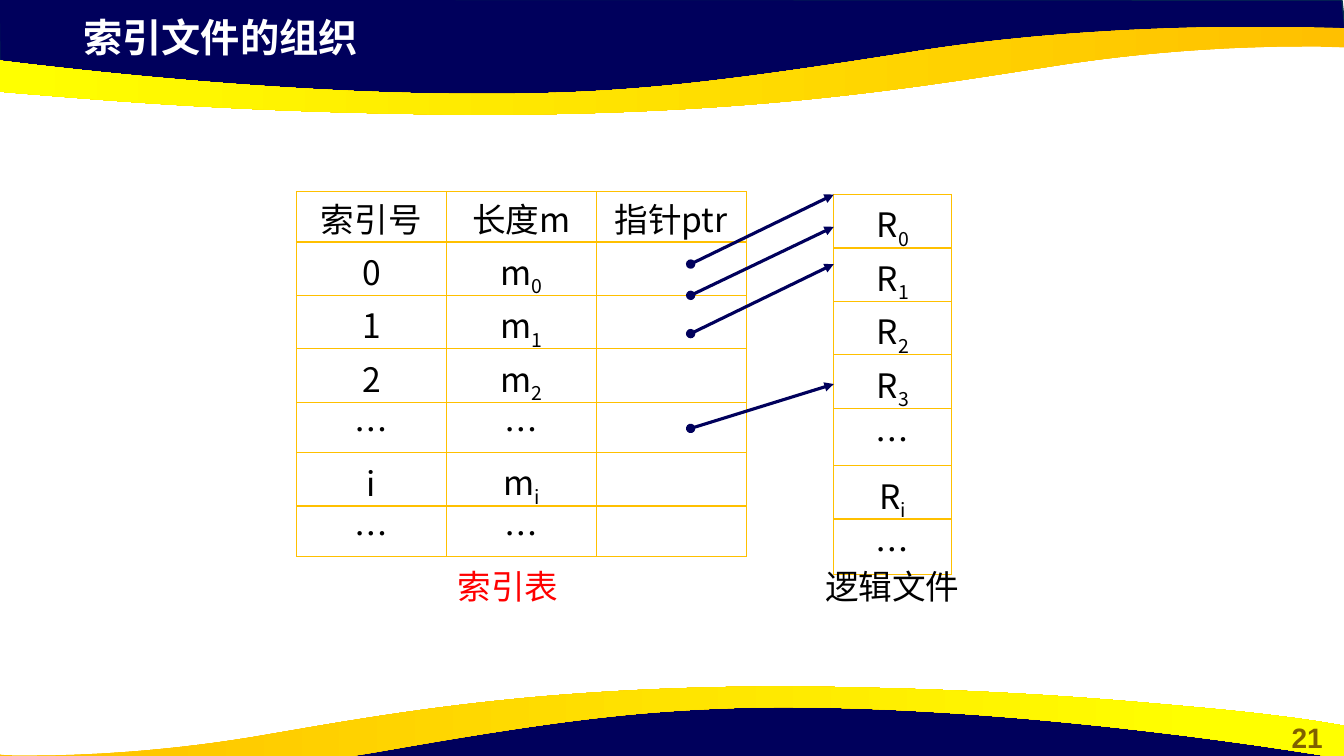
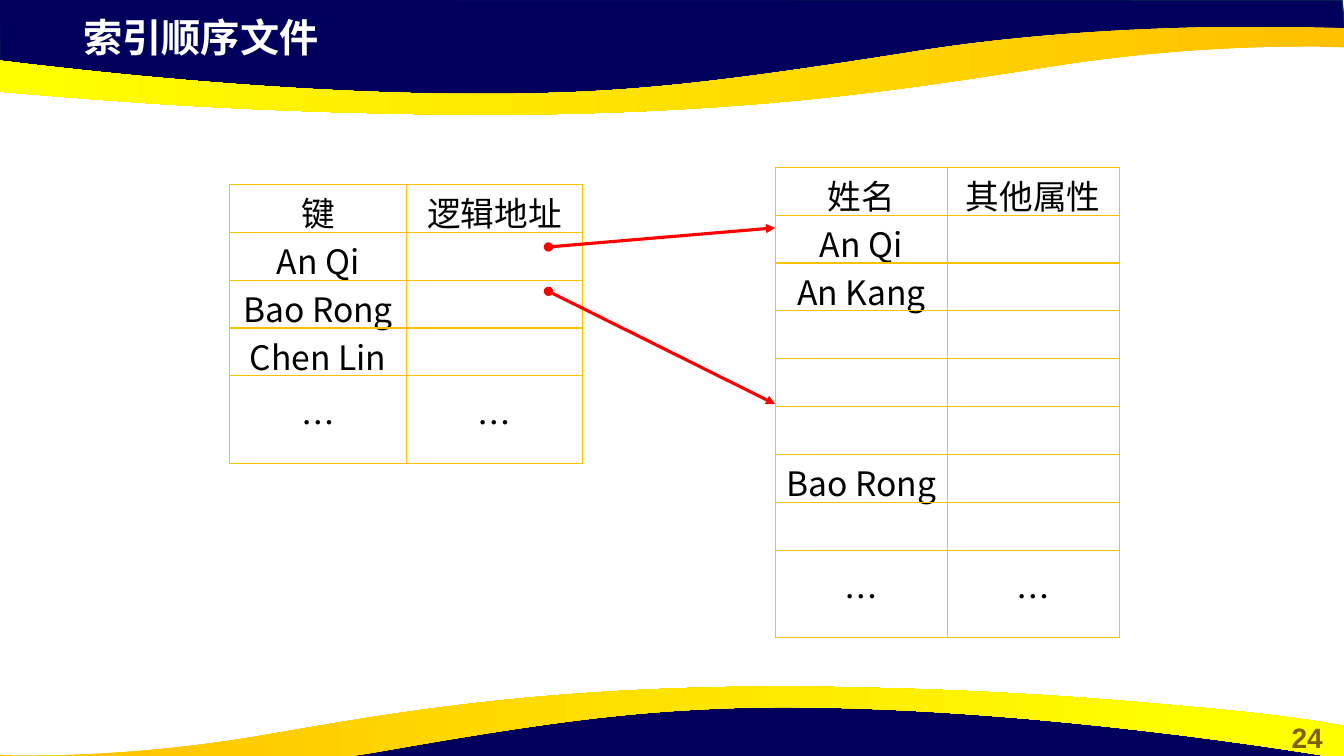
from dataclasses import dataclass

from lxml.etree import SubElement
from pptx import Presentation
from pptx.dml.color import RGBColor
from pptx.enum.shapes import MSO_CONNECTOR
from pptx.enum.text import MSO_ANCHOR, PP_ALIGN
from pptx.oxml.ns import qn
from pptx.util import Inches, Pt


@dataclass(frozen=True)
class Theme:
    navy: RGBColor = RGBColor(0x00, 0x00, 0x5C)
    navy_edge: RGBColor = RGBColor(0x05, 0x30, 0x4F)
    gold: RGBColor = RGBColor(0xFF, 0xC0, 0x00)
    yellow: RGBColor = RGBColor(0xFF, 0xFF, 0x00)
    brown: RGBColor = RGBColor(0x80, 0x60, 0x00)
    red: RGBColor = RGBColor(0xFF, 0x00, 0x00)
    black: RGBColor = RGBColor(0x00, 0x00, 0x00)
    white: RGBColor = RGBColor(0xFF, 0xFF, 0xFF)
    latin_font: str = "Arial"
    body_font: str = "Noto Sans CJK SC"
    title_size: int = 28
    body_size: int = 24
    number_size: int = 20
    cell_line: int = 28
    border_width: float = 1
    arrow_width: float = 2.25


THEME = Theme()

# Outlines in inches: a pair is a straight step, six numbers are a Bézier step.
TOP_NAVY = [(-0.01, -0.01), (0, 0.7), (2.93, 1.02), (5.59, 1), (7.95, 0.88),
            (10.16, 0.5), (12.38, 0.33), (13.35, 0.38), (13.31, 0)]
TOP_GOLD = [(4.83, 1.14), (4.43, 1.14, 4.01, 1.13, 3.56, 1.12),
            (2.06, 1.08, 1.1, 1, 0.36, 0.94),
            (-0.88, 0.84, -1.3, 0.75, -1.33, 0.75),
            (-1.33, 0.42, -1.33, 0.42, -1.33, 0.42),
            (-1.33, 0.42, 2.18, 0.98, 5.17, 0.93),
            (6.26, 0.91, 7.08, 0.83, 9.15, 0.5),
            (11.21, 0.18, 13.33, 0.28, 13.33, 0.28),
            (13.33, 0.32), (13.33, 0.47), (13.3, 0.47),
            (13.05, 0.46, 11.95, 0.43, 10.55, 0.64),
            (9.18, 0.85, 7.62, 1.13, 4.83, 1.14)]
BOTTOM_NAVY = [(13.33, 7.94), (13.32, 7.24), (10.4, 6.91), (7.73, 6.93),
               (5.38, 7.06), (3.17, 7.43), (0.95, 7.6), (-0.03, 7.56), (0.01, 7.93)]
BOTTOM_GOLD = [(7.72, 6.81), (8.09, 6.81, 8.47, 6.82, 8.88, 6.83),
               (10.25, 6.87, 11.12, 6.95, 11.79, 7.01),
               (12.92, 7.11, 13.3, 7.2, 13.33, 7.2),
               (13.33, 7.53, 13.33, 7.53, 13.33, 7.53),
               (13.33, 7.53, 10.14, 6.97, 7.42, 7.02),
               (6.42, 7.05, 5.67, 7.12, 3.8, 7.45),
               (1.92, 7.78, -0.01, 7.68, -0.01, 7.68),
               (-0.01, 7.64), (-0.01, 7.48), (0.02, 7.49),
               (0.25, 7.5, 1.25, 7.52, 2.52, 7.31),
               (3.76, 7.1, 5.19, 6.82, 7.72, 6.81)]


def bend_steps(shape, outline):
    """Turn the straight steps that stand for Bézier steps into curves."""
    segments = list(shape.element.iter(qn("a:lnTo")))
    for segment, step in zip(segments, outline[1:]):
        if len(step) == 6:
            segment.tag = qn("a:cubicBezTo")
            for point in list(segment):
                segment.remove(point)
            for x, y in zip(step[::2], step[1::2]):
                SubElement(segment, qn("a:pt"), x=str(Inches(x) - shape.left),
                           y=str(Inches(y) - shape.top))


def add_band(slide, outline):
    start, *others = [tuple(map(Inches, step[-2:])) for step in outline]
    builder = slide.shapes.build_freeform(*start)
    builder.add_line_segments(others, close=True)
    shape = builder.convert_to_shape()
    bend_steps(shape, outline)
    shape.shadow.inherit = False
    return shape


def add_navy_band(slide, outline):
    shape = add_band(slide, outline)
    shape.fill.solid()
    shape.fill.fore_color.rgb = THEME.navy
    shape.line.color.rgb = THEME.navy_edge
    shape.line.width = Pt(1)
    return shape


def add_gold_band(slide, outline, angle):
    shape = add_band(slide, outline)
    shape.fill.gradient()
    shape.fill.gradient_angle = angle
    stops = zip(shape.fill.gradient_stops, (THEME.gold, THEME.yellow), (0, 0.9))
    for stop, color, position in stops:
        stop.color.rgb = color
        stop.position = position
    shape.line.fill.background()
    return shape


def move_bands_to_layout(slide):
    """Draw the shared bands with the slide's tools and hand them to its layout."""
    bands = [add_navy_band(slide, TOP_NAVY), add_gold_band(slide, TOP_GOLD, 180),
             add_navy_band(slide, BOTTOM_NAVY), add_gold_band(slide, BOTTOM_GOLD, 0)]
    for band in bands:
        slide.slide_layout.shapes.element.append(band.element)


def style_run(run, size, color, latin=THEME.body_font, bold=False):
    run.font.size = Pt(size)
    run.font.color.rgb = color
    run.font.name = latin
    run.font.bold = bold
    east_asian = SubElement(run.font._element, qn("a:ea"))
    east_asian.set("typeface", THEME.body_font)


def add_text(slide, text, box, size, color, align=PP_ALIGN.CENTER, **style):
    shape = slide.shapes.add_textbox(*map(Inches, box))
    frame = shape.text_frame
    frame.word_wrap = True
    frame.vertical_anchor = MSO_ANCHOR.MIDDLE
    frame.text = text
    paragraph = frame.paragraphs[0]
    paragraph.alignment = align
    style_run(paragraph.runs[0], size, color, **style)


def add_caption(slide, text, left, color):
    add_text(slide, text, (left, 5.56, 1.72, 0.51), THEME.body_size, color)


def set_borders(cell):
    properties = cell._tc.get_or_add_tcPr()
    for side in ("a:lnL", "a:lnR", "a:lnT", "a:lnB"):
        line = SubElement(properties, qn(side), w=str(Pt(THEME.border_width)))
        fill = SubElement(line, qn("a:solidFill"))
        SubElement(fill, qn("a:srgbClr"), val=str(THEME.gold))


def fill_cell(cell, text, row_height, drop):
    """Write a cell, lowered by drop; what follows an underscore is a subscript."""
    set_borders(cell)
    cell.fill.background()
    cell.margin_top = Inches(0.04 + drop)
    cell.margin_bottom = Inches(-drop)
    cell.vertical_anchor = MSO_ANCHOR.BOTTOM if row_height < 0.54 else MSO_ANCHOR.MIDDLE
    paragraph = cell.text_frame.paragraphs[0]
    paragraph.alignment = PP_ALIGN.CENTER
    paragraph.line_spacing = Pt(THEME.cell_line)
    base, _, subscript = text.partition("_")
    for part, offset in ((base, 0), (subscript, -25000)):
        if part:
            run = paragraph.add_run()
            run.text = part
            style_run(run, THEME.body_size, THEME.black)
            if offset:
                run.font._element.set("baseline", str(offset))


def add_grid(slide, left, top, width, row_heights, rows, plain_drop=0.04):
    column_count = len(rows[0])
    frame = slide.shapes.add_table(
        len(rows), column_count, Inches(left), Inches(top),
        Inches(width), Inches(sum(row_heights)))
    table = frame.table
    table.first_row = table.horz_banding = False
    for row, height, texts in zip(table.rows, row_heights, rows):
        row.height = Inches(height)
        for cell, text in zip(row.cells, texts):
            fill_cell(cell, text, height, 0.04 if "_" in text else plain_drop)


def add_pointer(slide, start, end, color):
    connector = slide.shapes.add_connector(
        MSO_CONNECTOR.STRAIGHT, *map(Inches, (*start, *end)))
    connector.line.color.rgb = color
    connector.line.width = Pt(THEME.arrow_width)
    line = connector.line._get_or_add_ln()
    SubElement(line, qn("a:headEnd"), type="oval")
    SubElement(line, qn("a:tailEnd"), type="triangle")
    SubElement(connector._element.spPr, qn("a:effectLst"))


def add_title_and_number(slide, title, number):
    add_text(slide, str(number), (12.6, 7.09, 0.73, 0.44), THEME.number_size,
             THEME.brown, latin=THEME.latin_font, bold=True)
    add_text(slide, title, (0.73, 0.08, 7.68, 0.57), THEME.title_size, THEME.white,
             PP_ALIGN.LEFT, latin=THEME.latin_font, bold=True)


def fill_index_file_slide(slide):
    add_title_and_number(slide, "索引文件的组织", 21)
    index_rows = [("索引号", "长度m", "指针ptr")]
    index_rows += [(str(i), f"m_{i}", "") for i in range(3)]
    index_rows += [("…", "…", ""), ("i", "m_i", ""), ("…", "…", "")]
    add_grid(slide, 2.94, 1.9, 4.46, [0.5, 0.53, 0.53, 0.53, 0.5, 0.53, 0.5],
             index_rows, plain_drop=0)
    records = [f"R_{i}" for i in range(4)] + ["…", "R_i", "…"]
    add_grid(slide, 8.27, 1.93, 1.17, [0.53] * 4 + [0.57, 0.53, 0.55],
             [(record,) for record in records])
    add_caption(slide, "逻辑文件", 7.99, THEME.black)
    add_caption(slide, "索引表", 4.18, THEME.red)
    for start_y, end_y in ((2.62, 1.93), (2.93, 2.25), (3.31, 2.62), (4.25, 3.81)):
        add_pointer(slide, (6.85, start_y), (8.27, end_y), THEME.navy)


def fill_indexed_sequential_slide(slide):
    add_title_and_number(slide, "索引顺序文件", 24)
    row_height, last_height = 0.475, 0.87
    key_rows = [("键", "逻辑地址"), ("An Qi", ""), ("Bao Rong", ""),
                ("Chen Lin", ""), ("…", "…")]
    add_grid(slide, 2.28, 1.83, 3.5, [row_height] * 4 + [last_height], key_rows)
    empty = ("", "")
    record_rows = [("姓名", "其他属性"), ("An Qi", ""), ("An Kang", ""),
                   empty, empty, empty, ("Bao Rong", ""), empty, ("…", "…")]
    add_grid(slide, 7.69, 1.66, 3.41, [row_height] * 8 + [last_height], record_rows)
    for start_y, end_y in ((2.45, 2.26), (2.89, 4.01)):
        add_pointer(slide, (5.44, start_y), (7.69, end_y), THEME.red)


def main():
    presentation = Presentation()
    presentation.slide_width = Inches(13.33)
    presentation.slide_height = Inches(7.5)
    blank = presentation.slide_layouts[6]
    index_slide = presentation.slides.add_slide(blank)
    move_bands_to_layout(index_slide)
    fill_index_file_slide(index_slide)
    fill_indexed_sequential_slide(presentation.slides.add_slide(blank))
    presentation.save("out.pptx")


if __name__ == "__main__":
    main()
